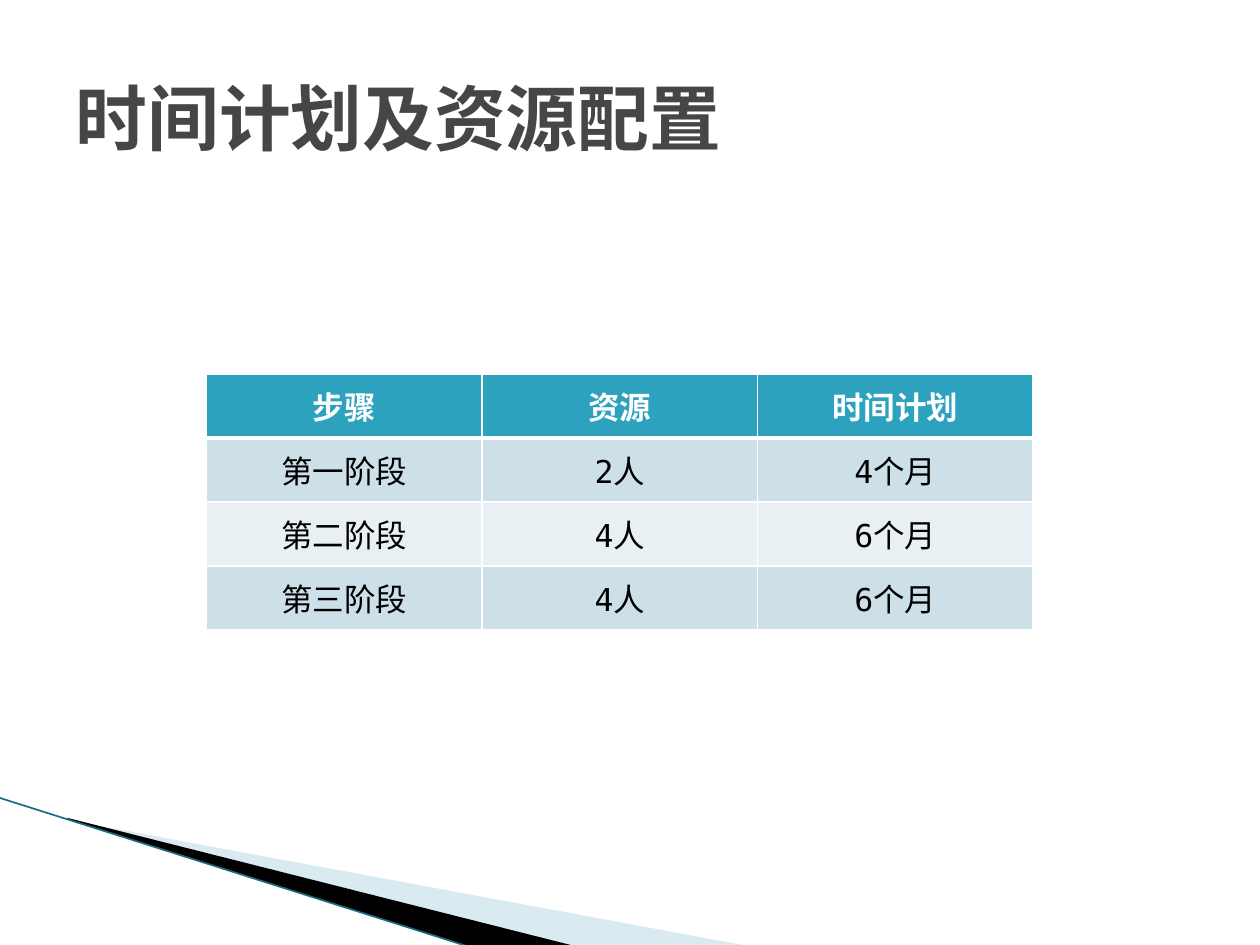
from dataclasses import dataclass
from typing import Optional

from lxml import etree
from pptx import Presentation
from pptx.dml.color import RGBColor
from pptx.enum.shapes import MSO_CONNECTOR
from pptx.enum.text import MSO_ANCHOR, PP_ALIGN
from pptx.oxml.ns import qn
from pptx.util import Inches, Pt

CENTER, LEFT = PP_ALIGN.CENTER, PP_ALIGN.LEFT
MIDDLE = MSO_ANCHOR.MIDDLE
STRAIGHT = MSO_CONNECTOR.STRAIGHT
TITLE_ONLY = 5


@dataclass(frozen=True)
class Theme:
    font: str = "DejaVu Sans Mono"
    title_size: float = 41
    cell_size: float = 18
    title: str = "464646"
    header: str = "2DA2BF"
    bands: tuple = ("CDE0E8", "E8F0F4")
    white: str = "FFFFFF"
    black: str = "000000"
    pale: str = "A0CBDC"
    edge: str = "1A6B80"


@dataclass(frozen=True)
class Wedge:
    frame: tuple  # left, top, width, height
    points: tuple  # on the slide; they may reach beyond the frame
    color: str
    alpha: Optional[int] = None  # percent


THEME = Theme()
WEDGES = (
    Wedge((0.78, 5.47, 4.16, 1.58),
          ((0.55, 6.51), (5.95, 7.51), (4.56, 7.51), (0.55, 6.5)), THEME.pale, 40),
    Wedge((-0.06, 6.33, 4.16, 0.92),
          ((0.53, 6.49), (4.57, 7.51), (3.72, 7.51), (0.54, 6.5)), THEME.black),
)
ROWS = (
    ("步骤", "资源", "时间计划"),
    ("第一阶段", "2人", "4个月"),
    ("第二阶段", "4人", "6个月"),
    ("第三阶段", "4人", "6个月"),
)
TABLE_WIDTH, TABLE_HEIGHT = 6.56, 2.03


def rgb(color: str) -> RGBColor:
    return RGBColor.from_string(color)


def style_text(p, size: float, color: str, bold: bool, align) -> None:
    p.alignment = align
    p.font.name = THEME.font
    p.font.size = Pt(size)
    p.font.bold = bold
    p.font.color.rgb = rgb(color)


def set_frame(sp, frame: tuple) -> None:
    """Give a freeform another frame while its outline stays in place."""
    left, top, width, height = (Inches(v) for v in frame)
    dx, dy = sp.left - left, sp.top - top
    for pt in sp._element.iter(qn("a:pt")):
        pt.set("x", str(int(pt.get("x")) + dx))
        pt.set("y", str(int(pt.get("y")) + dy))
    for outline in sp._element.iter(qn("a:path")):
        outline.set("w", str(width))
        outline.set("h", str(height))
    sp.left, sp.top, sp.width, sp.height = left, top, width, height


def add_wedge(s, wedge: Wedge) -> None:
    points = [(Inches(x), Inches(y)) for x, y in wedge.points]
    builder = s.shapes.build_freeform(*points[0])
    builder.add_line_segments(points[1:], close=True)
    sp = builder.convert_to_shape()
    set_frame(sp, wedge.frame)
    sp.shadow.inherit = False
    sp.fill.solid()
    sp.fill.fore_color.rgb = rgb(wedge.color)
    sp.line.fill.background()
    if wedge.alpha is not None:
        clr = sp.fill._xPr.find(qn("a:solidFill"))[0]
        etree.SubElement(clr, qn("a:alpha"), val=str(wedge.alpha * 1000))


def add_edge(s) -> None:
    line = s.shapes.add_connector(
        STRAIGHT, Inches(-0.01), Inches(6.33), Inches(3.71), Inches(7.51))
    line.line.color.rgb = rgb(THEME.edge)
    line.line.width = Pt(0.95)
    etree.SubElement(line._element.spPr, qn("a:effectLst"))


def set_borders(cell, bottom: float, top: float) -> None:
    tcPr = cell._tc.get_or_add_tcPr()
    widths = (("a:lnL", 1), ("a:lnR", 1), ("a:lnT", top), ("a:lnB", bottom))
    for i, (tag, width) in enumerate(widths):
        ln = etree.Element(qn(tag), w=str(Pt(width)))
        fill = etree.SubElement(ln, qn("a:solidFill"))
        etree.SubElement(fill, qn("a:srgbClr"), val=THEME.white)
        tcPr.insert(i, ln)  # borders come before the fill


def add_schedule(s) -> None:
    # add_table shares the width and height equally
    table = s.shapes.add_table(
        len(ROWS), len(ROWS[0]), Inches(1.64), Inches(2.97),
        Inches(TABLE_WIDTH), Inches(TABLE_HEIGHT)).table
    for i, texts in enumerate(ROWS):
        header = i == 0
        for j, text in enumerate(texts):
            cell = table.cell(i, j)
            cell.text = text
            cell.vertical_anchor = MIDDLE
            cell.fill.solid()
            cell.fill.fore_color.rgb = rgb(
                THEME.header if header else THEME.bands[(i - 1) % 2])
            set_borders(cell, bottom=3 if header else 1, top=3 if i == 1 else 1)
            style_text(cell.text_frame.paragraphs[0], THEME.cell_size,
                       THEME.white if header else THEME.black, header, CENTER)


def add_title(s, text: str) -> None:
    title = s.shapes.title
    title.left, title.top = Inches(0.5), Inches(0.3)
    title.width, title.height = Inches(9), Inches(1.25)
    tf = title.text_frame
    tf.text = text
    tf.vertical_anchor = MIDDLE
    style_text(tf.paragraphs[0], THEME.title_size, THEME.title, True, LEFT)


def main() -> None:
    prs = Presentation()
    prs.slide_width, prs.slide_height = Inches(10), Inches(7.5)
    s = prs.slides.add_slide(prs.slide_layouts[TITLE_ONLY])
    s.background.fill.solid()
    s.background.fill.fore_color.rgb = rgb(THEME.white)

    # Corner decoration
    for wedge in WEDGES:
        add_wedge(s, wedge)
    add_edge(s)

    # Content
    add_schedule(s)
    add_title(s, "时间计划及资源配置")
    prs.save("out.pptx")


if __name__ == "__main__":
    main()
